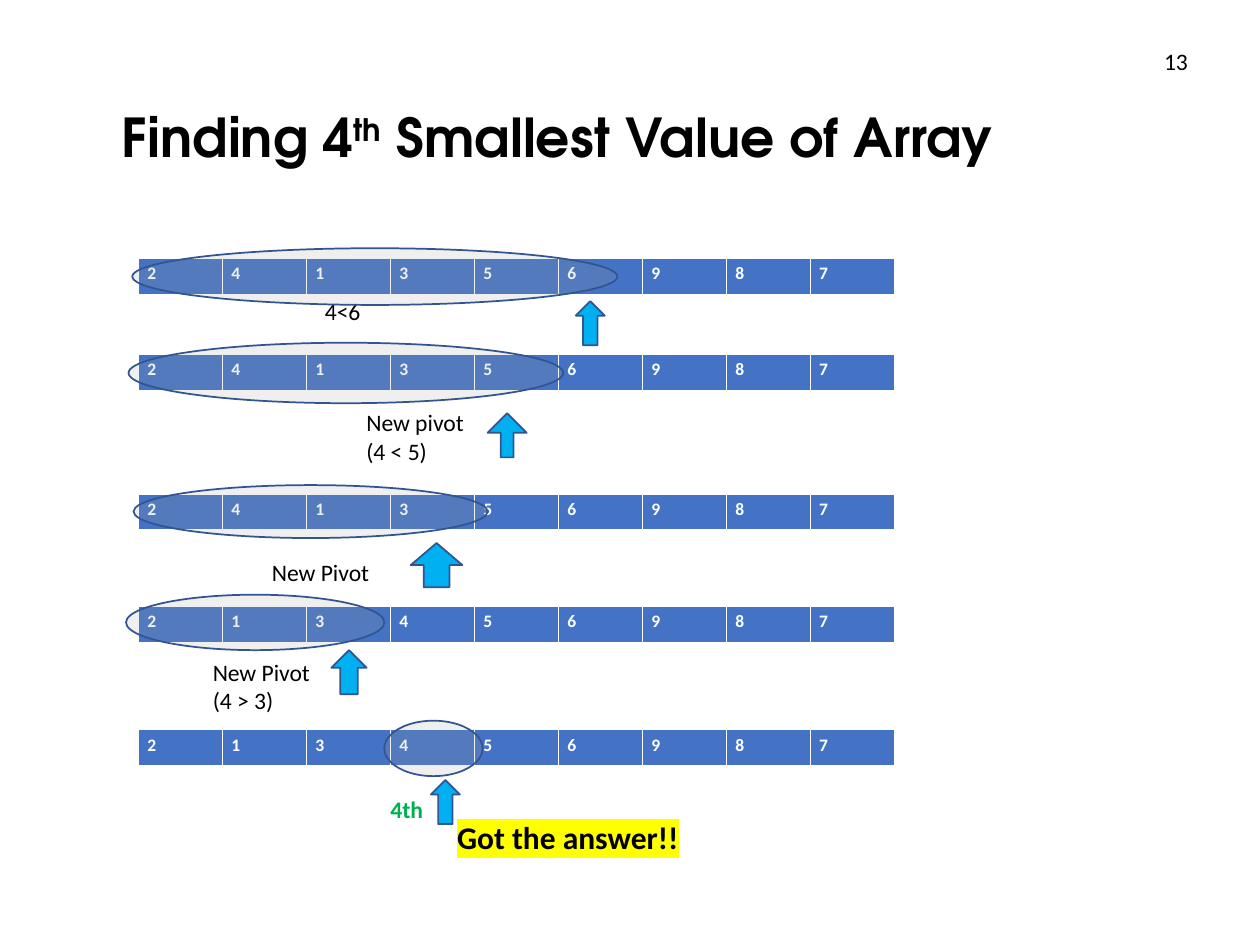
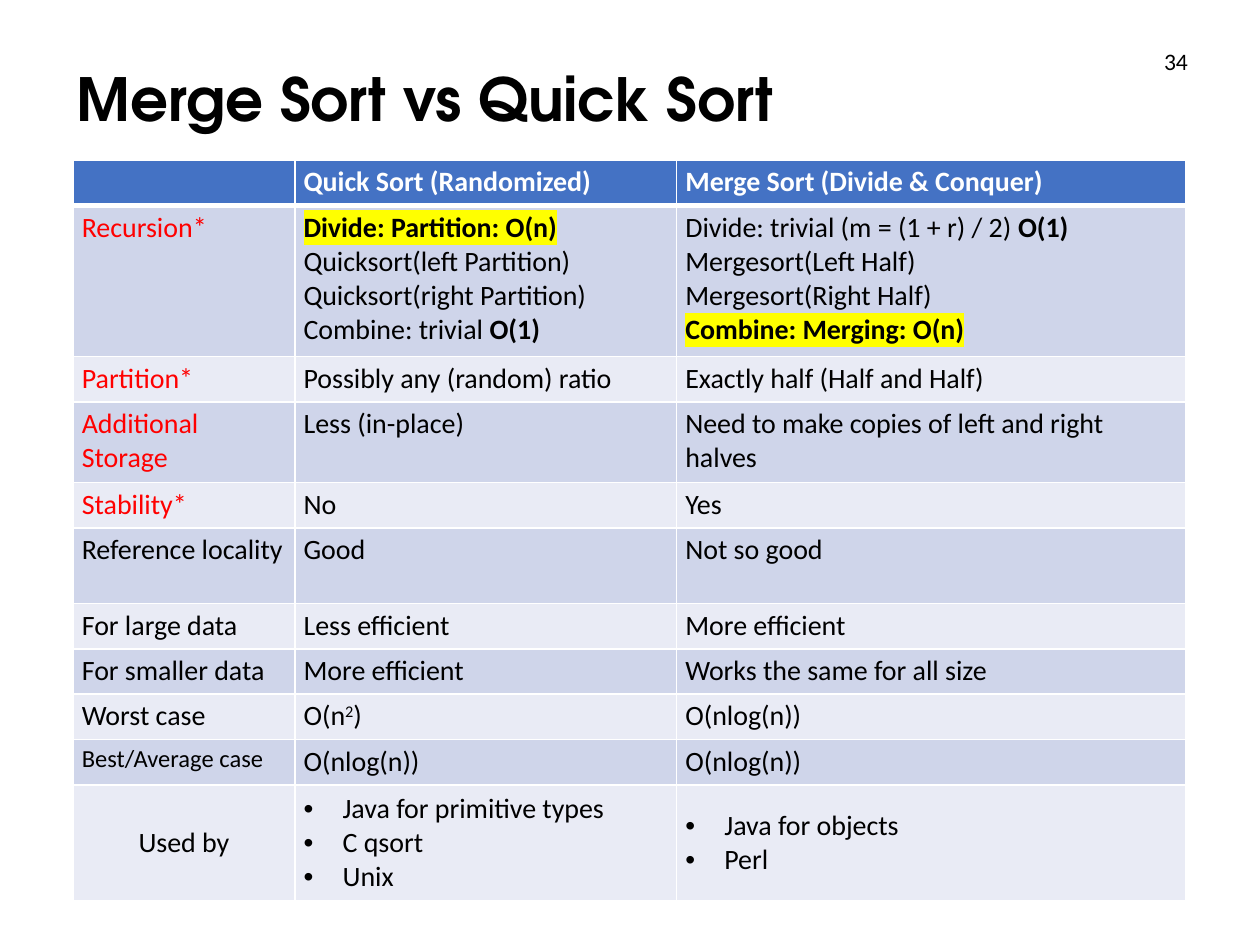
from lxml.etree import SubElement
from pptx import Presentation
from pptx.dml.color import RGBColor
from pptx.enum.shapes import MSO_SHAPE
from pptx.enum.text import MSO_ANCHOR, PP_ALIGN
from pptx.oxml import parse_xml
from pptx.oxml.ns import nsdecls, qn
from pptx.util import Emu, Inches, Pt

COLS, ROWS = 100, 75
HUES = {
    "ink": "000000", "paper": "FFFFFF", "head": "4472C4", "odd": "CFD5EA",
    "even": "E9EBF5", "arrow": "00B0F0", "edge": "325491", "veil": "A6A6A6",
    "red": "FF0000", "green": "00B050", "mark": "FFFF00",
}
BODY, HEAD = "Calibri", "TeX Gyre Adventor"
BOLD, GLOW, SUPER = "bold", "glow", "super"


def rgb(hue):
    return RGBColor.from_string(HUES[hue])


def tag(name, inner="", **attrs):
    """Build one DrawingML element."""
    text = "".join(f' {key}="{val}"' for key, val in attrs.items())
    return parse_xml(f"<a:{name} {nsdecls('a')}{text}>{inner}</a:{name}>")


def solid(hue):
    return f'<a:solidFill><a:srgbClr val="{HUES[hue]}"/></a:solidFill>'


class Deck:
    def __init__(self):
        self.prs = Presentation()
        self.prs.slide_width, self.prs.slide_height = Inches(10), Inches(7.5)
        self.slide = None

    def across(self, cols):
        return Emu(round(self.prs.slide_width * cols / COLS))

    def down(self, rows):
        return Emu(round(self.prs.slide_height * rows / ROWS))

    def place(self, box):
        left, top, wide, high = box
        return self.across(left), self.down(top), self.across(wide), self.down(high)

    def page(self, number, title, box, size):
        """Start a slide with its title and page number."""
        self.slide = self.prs.slides.add_slide(self.prs.slide_layouts[6])
        frame = self.label(box, [title], size, bold=True, face=HEAD)
        frame.vertical_anchor = MSO_ANCHOR.MIDDLE
        frame.paragraphs[0].line_spacing = 0.9
        self.label((91.4, 3.2, 8.6, 8.4), [number])

    def style(self, run, kind, size, hue, bold, face):
        font = run.font
        font.size, font.name = Pt(size), face
        font.bold = bold or kind in (BOLD, GLOW)
        font.color.rgb = rgb(hue)
        props = run._r.get_or_add_rPr()
        if kind == SUPER:
            props.set("baseline", "30000")
        if kind == GLOW:
            glow = tag("highlight", f'<a:srgbClr val="{HUES["mark"]}"/>')
            props.find(qn("a:solidFill")).addnext(glow)

    def letter(self, frame, lines, size=13.5, hue="ink", bold=False, face=BODY, dots=False):
        """Fill a frame; a line is a string or a list of strings and (string, kind) pairs."""
        for at, line in enumerate(lines):
            par = frame.add_paragraph() if at else frame.paragraphs[0]
            if dots:
                props = par._p.get_or_add_pPr()
                props.set("marL", str(Inches(0.31)))
                props.set("indent", str(-Inches(0.31)))
                props.append(tag("buFont", typeface="Arial"))
                props.append(tag("buChar", char="•"))
            if not line:
                par._p.get_or_add_endParaRPr().set("sz", str(size * 100))
                continue
            for part in [line] if isinstance(line, str) else line:
                text, kind = (part, None) if isinstance(part, str) else part
                run = par.add_run()
                run.text = text
                self.style(run, kind, size, hue, bold, face)

    def label(self, box, lines, size=13.5, **look):
        frame = self.slide.shapes.add_textbox(*self.place(box)).text_frame
        frame.word_wrap = True
        self.letter(frame, lines, size, **look)
        return frame

    def shape(self, kind, box, hue):
        form = self.slide.shapes.add_shape(kind, *self.place(box))
        form.shadow.inherit = False
        form.fill.solid()
        form.fill.fore_color.rgb = rgb(hue)
        form.line.color.rgb, form.line.width = rgb("edge"), Pt(1)
        return form

    def arrow(self, left, top, wide, shaft=0.5):
        form = self.shape(MSO_SHAPE.UP_ARROW, (left, top, wide, 3.5), "arrow")
        form.adjustments[0] = shaft

    def oval(self, box):
        form = self.shape(MSO_SHAPE.OVAL, box, "veil")
        shade = form._element.spPr.find(qn("a:solidFill"))[0]
        SubElement(shade, qn("a:alpha"), val="17000")

    def table(self, left, top, wides, highs):
        box = (left, top, sum(wides), sum(highs))
        grid = self.slide.shapes.add_table(len(highs), len(wides), *self.place(box)).table
        grid.first_row = grid.horz_banding = False
        for col, wide in zip(grid.columns, wides):
            col.width = self.across(wide)
        for row, high in zip(grid.rows, highs):
            row.height = self.down(high)
        return grid

    def cell(self, cell, lines, size, hue, fill, bold=False, dots=False):
        cell.margin_left = cell.margin_right = Inches(0.07)
        cell.margin_top = cell.margin_bottom = Inches(0.04)
        props = cell._tc.get_or_add_tcPr()
        for side in "LRTB":
            width = Pt(3 if side == "B" and fill == "head" else 1)
            props.append(tag("ln" + side, solid("paper"), w=width))
        cell.fill.solid()
        cell.fill.fore_color.rgb = rgb(fill)
        self.letter(cell.text_frame, lines, size, hue, bold, dots=dots)

    def array(self, top, values):
        grid = self.table(11, top, [20 / 3] * len(values), [3])
        for cell, value in zip(grid.rows[0].cells, values):
            self.cell(cell, [value], 10, "paper", "head", bold=True)


# array top, values, oval, arrow, label box, label lines
STEPS = [
    (20.5, "241356987", (10.5, 19.7, 38.5, 4.5), (45.7, 23.9, 2.3),
     (24.8, 23.1, 7.2, 3.6), ["4<6"]),
    (28.1, "241356987", (10.2, 27.2, 34.5, 4.8), (38.7, 32.8, 3.1, 0.33),
     (28.1, 31.9, 13.4, 6.1), ["New pivot", "(4 < 5)"]),
    (39.2, "241356987", (10.6, 38.5, 28.1, 4.2), (32.6, 43.1, 4.1),
     (20.6, 43.8, 16.1, 3.6), ["New Pivot"]),
    (48.1, "213456987", (10, 47.2, 20.5, 4.4), (26.3, 51.6, 2.8),
     (15.9, 51.7, 16.1, 6.1), ["New Pivot", "(4 > 3)"]),
    (57.9, "213456987", (30.5, 57.2, 7.8, 4.4), (34.2, 61.9, 2.3),
     (30, 62.6, 8.3, 3.6), ["4th"]),
]

# row height, then the lines of each cell
FACTS = [
    (3.6, [""], ["Quick Sort (Randomized)"], ["Merge Sort (Divide & Conquer)"]),
    (12, ["Recursion*"],
     [[("Divide: Partition: O(n)", GLOW)], "Quicksort(left Partition)",
      "Quicksort(right Partition)", ["Combine: trivial ", ("O(1)", BOLD)]],
     [["Divide: trivial (m = (1 + r) / 2) ", ("O(1)", BOLD)], "Mergesort(Left Half)",
      "Mergesort(Right Half)", [("Combine: Merging: O(n)", GLOW)]]),
    (3.6, ["Partition*"], ["Possibly any (random) ratio"], ["Exactly half (Half and Half)"]),
    (6.4, ["Additional Storage"], ["Less (in-place)"],
     ["Need to make copies of left and right halves"]),
    (3.6, ["Stability*"], ["No"], ["Yes"]),
    (6, ["Reference locality"], ["Good"], ["Not so good"]),
    (3.6, ["For large data"], ["Less efficient"], ["More efficient"]),
    (3.6, ["For smaller data"], ["More efficient"], ["Works the same for all size"]),
    (3.6, ["Worst case"], [["O(n", ("2", SUPER), ")"]], ["O(nlog(n))"]),
    (3.6, ["Best/Average case"], ["O(nlog(n))"], ["O(nlog(n))"]),
    (9.2, ["Used by"], ["Java for primitive types", "C qsort", "Unix"],
     ["Java for objects", "Perl"]),
]
KEYS = range(1, 5)  # rows whose name is red


def select(deck):
    title = ["Finding 4", ("th", SUPER), " Smallest Value of Array"]
    deck.page("13", title, (8.7, 8.2, 75, 5.8), 30.6)
    for top, values, ring, arrow, box, lines in STEPS:
        last = lines == ["4th"]
        deck.array(top, values)
        deck.arrow(*arrow)
        deck.label(box, lines, hue="green" if last else "ink", bold=last)
        deck.oval(ring)
    deck.label((35.3, 64.4, 25.3, 4.4), [[("Got the answer!!", GLOW)]], 18)


def compare(deck):
    deck.page("34", "Merge Sort vs Quick Sort", (5.1, 3.5, 86.2, 9.3), 34)
    grid = deck.table(5.8, 12.7, [17.6, 30.3, 40.4], [fact[0] for fact in FACTS])
    end = len(FACTS) - 1
    for row, (_, *texts) in enumerate(FACTS):
        fill = "head" if row == 0 else "odd" if row % 2 else "even"
        for col, lines in enumerate(texts):
            cell = grid.cell(row, col)
            hue = "paper" if row == 0 else "red" if col == 0 and row in KEYS else "ink"
            size = 14 if lines == ["Best/Average case"] else 16
            deck.cell(cell, lines, size, hue, fill, bold=row == 0, dots=row == end and col > 0)
            if row == end:
                cell.vertical_anchor = MSO_ANCHOR.MIDDLE
    grid.cell(end, 0).text_frame.paragraphs[0].alignment = PP_ALIGN.CENTER


def main():
    deck = Deck()
    select(deck)
    compare(deck)
    deck.prs.save("out.pptx")


if __name__ == "__main__":
    main()
